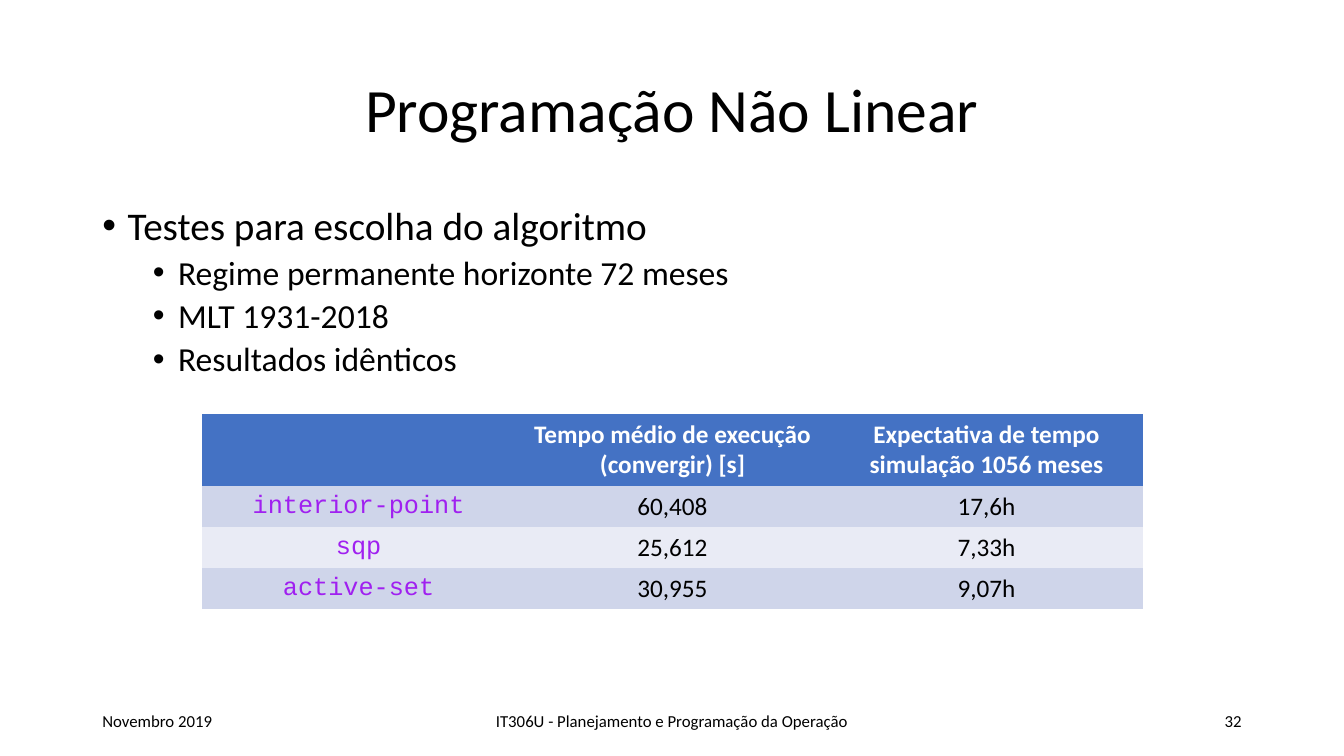
"""Build the slide that compares nonlinear programming algorithms."""
import pptx
import pptx.dml.color
import pptx.enum.text
import pptx.oxml.ns
import pptx.util
import lxml.etree

PX = 9525
THEME = {
    "font": "Calibri", "code_font": "Courier New",
    "text": "000000", "inverse": "FFFFFF", "code": "A020F0",
    "header": "4472C4", "bands": ("CFD5EA", "E9EBF5"),
    "title_size": 44, "list_sizes": (28, 24), "table_size": 18, "footer_size": 12,
}
NO_STYLE_NO_GRID = "{2D5ABB26-0587-4C30-8999-92F81FD0307C}"
ALIGN = pptx.enum.text.PP_ALIGN
MIDDLE = pptx.enum.text.MSO_ANCHOR.MIDDLE


def place(shape, *box):
    shape.left, shape.top, shape.width, shape.height = (side * PX for side in box)


def format_runs(paragraph, size, align, color=THEME["text"], font=THEME["font"], bold=False):
    paragraph.alignment = align
    for run in paragraph.runs:
        run.font.size = pptx.util.Pt(size)
        run.font.name = font
        run.font.bold = bold
        run.font.color.rgb = pptx.dml.color.RGBColor.from_string(color)


presentation = pptx.Presentation()
presentation.slide_width, presentation.slide_height = 1280 * PX, 720 * PX
slide = presentation.slides.add_slide(presentation.slide_layouts[1])

title = slide.shapes.title
place(title, 88, 38, 1104, 139)
title.text_frame.text = "Programação Não Linear"
title.text_frame.auto_size = pptx.enum.text.MSO_AUTO_SIZE.NONE
title.text_frame.vertical_anchor = MIDDLE
title.text_frame.paragraphs[0].line_spacing = 0.9
format_runs(title.text_frame.paragraphs[0], THEME["title_size"], ALIGN.CENTER)

tests = slide.placeholders[1]
place(tests, 88, 192, 1104, 457)
tests.text_frame.text = "\n".join([
    "Testes para escolha do algoritmo",
    "Regime permanente horizonte 72 meses",
    "MLT 1931-2018",
    "Resultados idênticos",
])
tests.text_frame.auto_size = pptx.enum.text.MSO_AUTO_SIZE.NONE
for index, point in enumerate(tests.text_frame.paragraphs):
    point.level = min(index, 1)
    point.line_spacing = 0.9
    point.space_before = pptx.util.Pt((10, 5)[point.level])
    format_runs(point, THEME["list_sizes"][point.level], ALIGN.LEFT)
    properties = point._p.get_or_add_pPr()
    properties.set("marL", str((24 + 48 * point.level) * PX))
    properties.set("indent", str(-24 * PX))
    lxml.etree.SubElement(properties, pptx.oxml.ns.qn("a:buFont")).set("typeface", "Arial")
    lxml.etree.SubElement(properties, pptx.oxml.ns.qn("a:buChar")).set("char", "•")

footers = [
    (88, 288, "Novembro 2019", ALIGN.LEFT),
    (424, 432, "IT306U - Planejamento e Programação da Operação", ALIGN.CENTER),
    (904, 288, "32", ALIGN.RIGHT),
]
for left, width, wording, align in footers:
    footer = slide.shapes.add_textbox(left * PX, 667 * PX, width * PX, 38 * PX)
    footer.text_frame.word_wrap = True
    footer.text_frame.vertical_anchor = MIDDLE
    footer.text_frame.text = wording
    format_runs(footer.text_frame.paragraphs[0], THEME["footer_size"], align)

results = [
    ("", "Tempo médio de execução (convergir) [s]", "Expectativa de tempo simulação 1056 meses"),
    ("interior-point", "60,408", "17,6h"),
    ("sqp", "25,612", "7,33h"),
    ("active-set", "30,955", "9,07h"),
]
timings = slide.shapes.add_table(4, 3, 192 * PX, 394 * PX, 897 * PX, 186 * PX).table
timings._tbl.tblPr.find(pptx.oxml.ns.qn("a:tableStyleId")).text = NO_STYLE_NO_GRID
for row_index, values in enumerate(results):
    is_header = row_index == 0
    timings.rows[row_index].height = (69 if is_header else 39) * PX
    fill = THEME["header"] if is_header else THEME["bands"][(row_index - 1) % 2]
    for column_index, value in enumerate(values):
        is_code = column_index == 0 and not is_header
        color = THEME["inverse" if is_header else "code" if is_code else "text"]
        font = THEME["code_font" if is_code else "font"]
        cell = timings.cell(row_index, column_index)
        cell.fill.solid()
        cell.fill.fore_color.rgb = pptx.dml.color.RGBColor.from_string(fill)
        cell.vertical_anchor = MIDDLE
        cell.text_frame.text = value
        format_runs(cell.text_frame.paragraphs[0], THEME["table_size"], ALIGN.CENTER,
                    color, font, is_header)

presentation.save("out.pptx")
